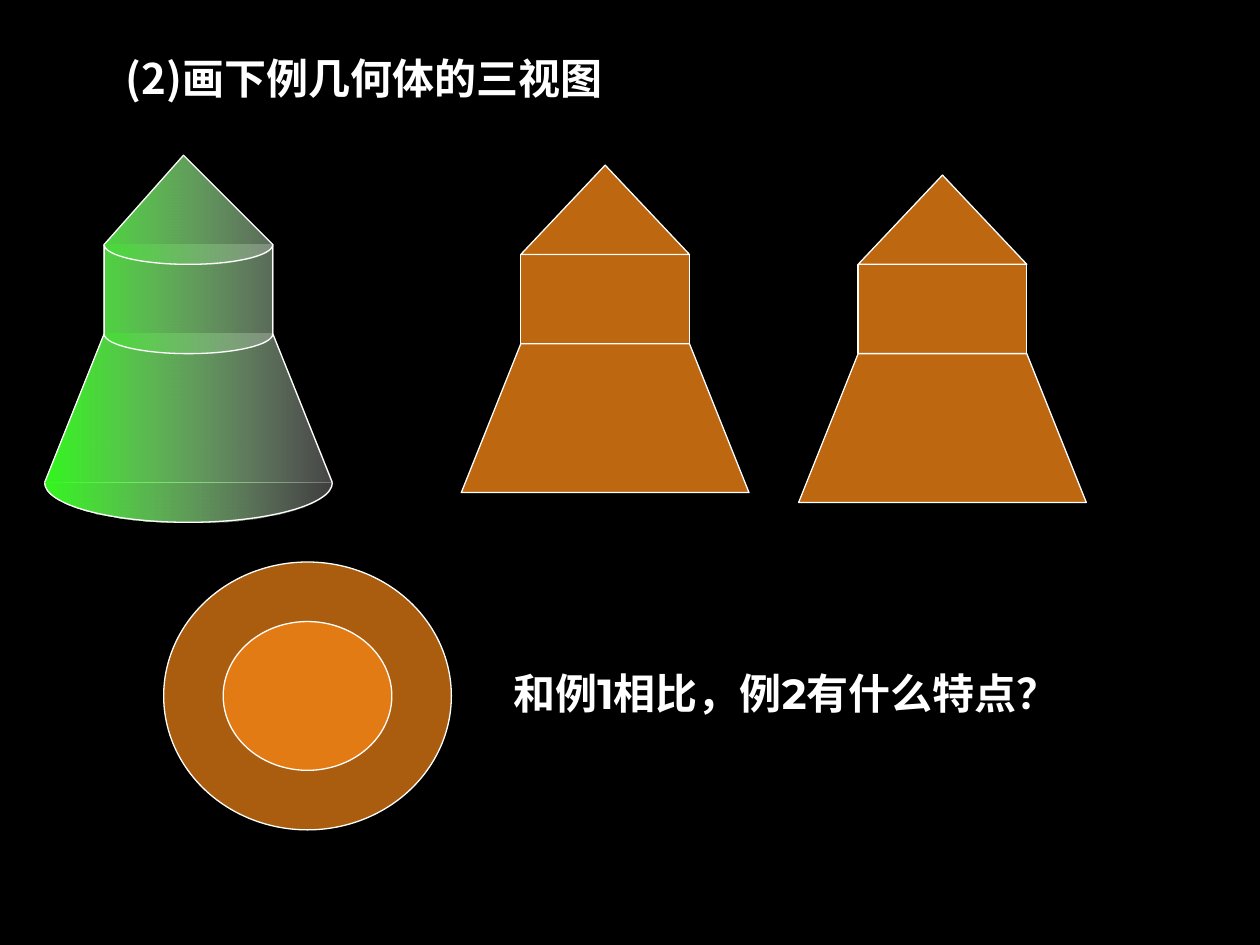
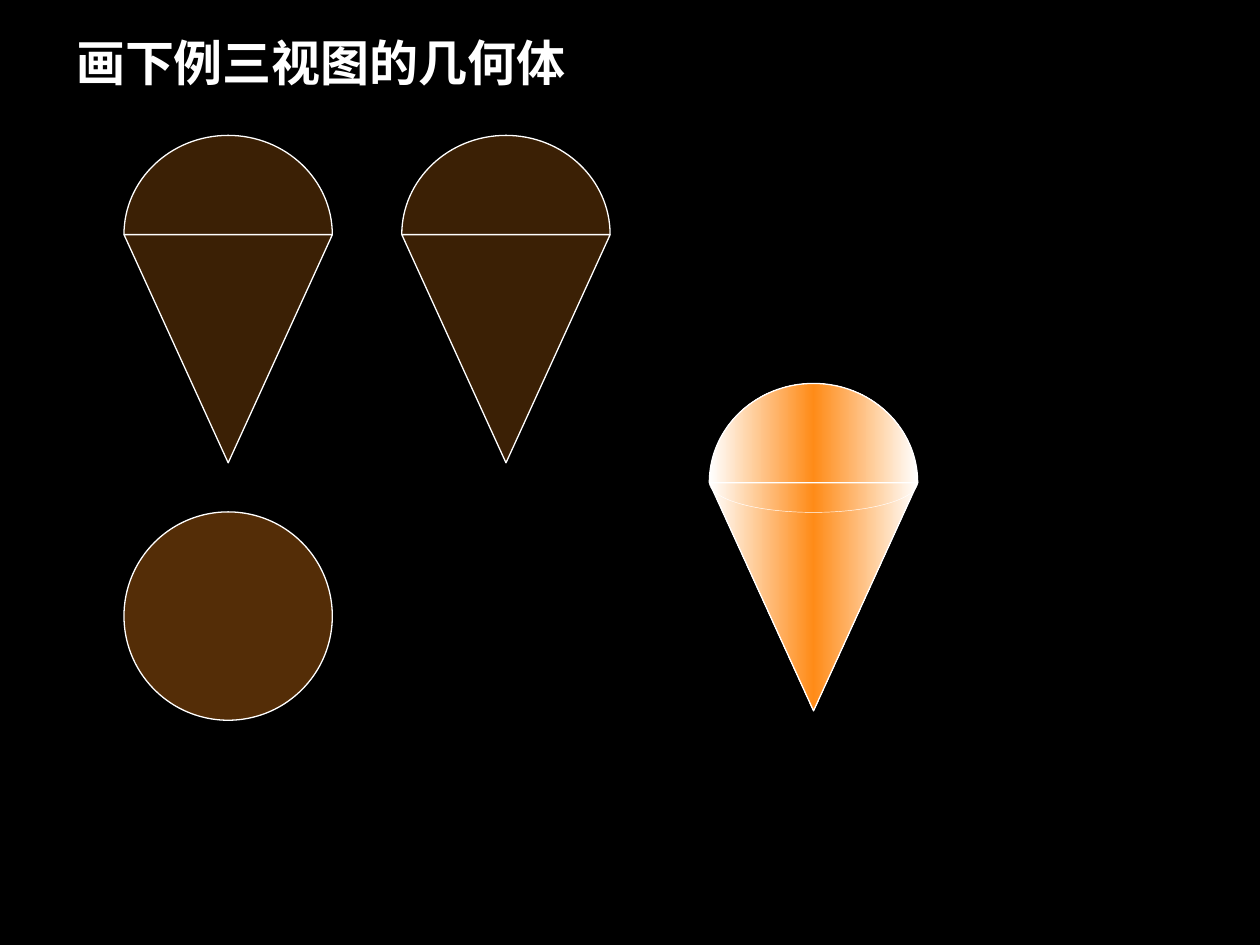
import dataclasses
import typing

import lxml.etree
import pptx
import pptx.dml.color
import pptx.enum.shapes
import pptx.enum.text
import pptx.oxml.ns
import pptx.util

Cm = pptx.util.Cm
Preset = pptx.enum.shapes.MSO_SHAPE
Point = tuple[float, float]

COLORS = {
    "background": "000000",
    "white": "FFFFFF",
    "orange": "FF8B17",
    "green": "33F81E",
}
CJK_FONT = "Noto Sans CJK SC"
LATIN_FONT = "Montserrat"
TITLE_ONLY = 5


@dataclasses.dataclass(frozen=True)
class Ink:
    color: str
    alpha: int = 100


@dataclasses.dataclass(frozen=True)
class Box:
    left: float
    top: float
    width: float
    height: float

    def lengths(self) -> list[pptx.util.Length]:
        return [Cm(value) for value in dataclasses.astuple(self)]


@dataclasses.dataclass(frozen=True)
class Tower:
    left: float
    top: float
    base_width: float = 5.8
    neck_width: float = 3.4
    roof_height: float = 1.8
    neck_height: float = 1.8
    skirt_height: float = 3.0

    @property
    def neck_left(self) -> float:
        return self.left + (self.base_width - self.neck_width) / 2

    @property
    def neck_right(self) -> float:
        return self.neck_left + self.neck_width

    @property
    def right(self) -> float:
        return self.left + self.base_width

    @property
    def eaves(self) -> float:
        return self.top + self.roof_height

    @property
    def waist(self) -> float:
        return self.eaves + self.neck_height

    @property
    def base(self) -> float:
        return self.waist + self.skirt_height


@dataclasses.dataclass(frozen=True)
class Cone:
    left: float
    top: float
    width: float = 4.2
    dome_height: float = 2.0
    tip_height: float = 4.6

    @property
    def rim(self) -> float:
        return self.top + self.dome_height


ELEVATION_INK = [Ink("orange", 74)]
PLAN_INK = [Ink("orange", 67)]
CONE_INK = [Ink("orange", 23)]
CIRCLE_INK = [Ink("orange", 33)]
GLOSS = [Ink("white"), Ink("orange"), Ink("white")]

SOLID_TOWER = Tower(0.9, 3.13)
FRONT_TOWER = Tower(9.3, 3.33)
SIDE_TOWER = Tower(16.1, 3.53)
FLAT_CONES = [Cone(2.5, 2.73), Cone(8.1, 2.73)]
SOLID_CONE = Cone(14.3, 7.73)


def rgb(name: str) -> pptx.dml.color.RGBColor:
    return pptx.dml.color.RGBColor.from_string(COLORS[name])


def add_xml(parent: typing.Any, tag: str, **attributes: object) -> typing.Any:
    return lxml.etree.SubElement(
        parent, pptx.oxml.ns.qn(tag), {key: str(value) for key, value in attributes.items()}
    )


def add_color(parent: typing.Any, ink: Ink) -> None:
    color = add_xml(parent, "a:srgbClr", val=COLORS[ink.color])
    if ink.alpha < 100:
        add_xml(color, "a:alpha", val=ink.alpha * 1000)


def paint(shape: typing.Any, inks: list[Ink], line_width: float = 0.75) -> None:
    shape.shadow.inherit = False
    shape.line.color.rgb = rgb("white")
    shape.line.width = pptx.util.Pt(line_width)
    shape.fill.background()
    if not inks:
        return
    no_fill = shape._element.spPr.find(pptx.oxml.ns.qn("a:noFill"))
    holder = lxml.etree.Element("holder")
    if len(inks) == 1:
        fill = add_xml(holder, "a:solidFill")
        add_color(fill, inks[0])
    else:
        fill = add_xml(holder, "a:gradFill", rotWithShape=1)
        stops = add_xml(fill, "a:gsLst")
        for index, ink in enumerate(inks):
            add_color(add_xml(stops, "a:gs", pos=100000 * index // (len(inks) - 1)), ink)
        add_xml(fill, "a:lin", ang=0, scaled=0)
    no_fill.getparent().replace(no_fill, fill)


def add_preset(shapes: typing.Any, preset: Preset, box: Box, inks: list[Ink],
               rotation: float = 0) -> None:
    shape = shapes.add_shape(preset, *box.lengths())
    shape.rotation = rotation
    paint(shape, inks)


def add_outline(shapes: typing.Any, points: list[Point], inks: list[Ink],
                closed: bool = False, line_width: float = 0.75) -> typing.Any:
    corners = [(Cm(x), Cm(y)) for x, y in points]
    builder = shapes.build_freeform(*corners[0])
    builder.add_line_segments(corners[1:], close=closed)
    shape = builder.convert_to_shape()
    paint(shape, inks, line_width)
    return shape


def add_segment(outline: typing.Any, tag: str, *points: tuple[int, int]) -> None:
    segment = add_xml(outline, tag)
    for x, y in points:
        add_xml(segment, "a:pt", x=x, y=y)


def add_half_ellipse(shapes: typing.Any, left: float, level: float, width: float,
                     rise: float, inks: list[Ink], line_width: float = 0.75) -> None:
    points = [(left + width, level), (left + width / 2, level - rise), (left, level)]
    shape = add_outline(shapes, points, inks, line_width=line_width)
    outlines = shape._element.spPr.find(".//" + pptx.oxml.ns.qn("a:pathLst"))
    outlines.clear()
    level_y, middle_y, crest_y = (1000, 448, 0) if rise > 0 else (0, 552, 1000)
    for option in ({"fill": "none"}, {"stroke": 0}):
        outline = add_xml(outlines, "a:path", w=2000, h=1000, **option)
        add_segment(outline, "a:moveTo", (2000, level_y))
        add_segment(outline, "a:cubicBezTo", (2000, middle_y), (1552, crest_y), (1000, crest_y))
        add_segment(outline, "a:cubicBezTo", (448, crest_y), (0, middle_y), (0, level_y))
        if "stroke" in option:
            add_segment(outline, "a:lnTo", (1000, level_y))
            add_xml(outline, "a:close")


def add_line(shapes: typing.Any, start: Point, end: Point) -> None:
    connector = shapes.add_connector(
        pptx.enum.shapes.MSO_CONNECTOR.STRAIGHT, *[Cm(value) for value in start + end]
    )
    connector.line.color.rgb = rgb("white")
    connector.line.width = pptx.util.Pt(0.75)
    add_xml(connector._element.spPr, "a:effectLst")


def write_text(shape: typing.Any, text: str, *, box: Box, size: float, font: str) -> None:
    shape.left, shape.top, shape.width, shape.height = box.lengths()
    frame = shape.text_frame
    frame.word_wrap = True
    frame.auto_size = pptx.enum.text.MSO_AUTO_SIZE.NONE
    frame.vertical_anchor = pptx.enum.text.MSO_ANCHOR.TOP
    paragraph = frame.paragraphs[0]
    paragraph.alignment = pptx.enum.text.PP_ALIGN.LEFT
    run = paragraph.add_run()
    run.text = text
    run.font.size = pptx.util.Pt(size)
    run.font.bold = True
    run.font.name = font
    run.font.color.rgb = rgb("white")
    properties = run.font._element
    properties.set("lang", "zh-CN")
    add_xml(properties, "a:ea", typeface=font)


def draw_tower_view(slide: typing.Any, tower: Tower) -> None:
    shapes = slide.shapes.add_group_shape().shapes
    roof = Box(tower.neck_left, tower.top, tower.neck_width, tower.roof_height)
    neck = Box(tower.neck_left, tower.eaves, tower.neck_width, tower.neck_height)
    skirt = [(tower.left, tower.base), (tower.neck_left, tower.waist),
             (tower.neck_right, tower.waist), (tower.right, tower.base)]
    add_preset(shapes, Preset.ISOSCELES_TRIANGLE, roof, ELEVATION_INK)
    add_preset(shapes, Preset.RECTANGLE, neck, ELEVATION_INK)
    add_outline(shapes, skirt, ELEVATION_INK, closed=True)


def draw_plan_view(slide: typing.Any) -> None:
    shapes = slide.shapes.add_group_shape().shapes
    for box in (Box(3.3, 11.33, 5.8, 5.4), Box(4.5, 12.53, 3.4, 3.0)):
        add_preset(shapes, Preset.OVAL, box, PLAN_INK)


def draw_solid_tower(slide: typing.Any, tower: Tower) -> None:
    shapes = slide.shapes.add_group_shape().shapes
    body = [(tower.right, tower.base), (tower.neck_right, tower.waist),
            (tower.neck_right, tower.eaves), (tower.left + 2.8, tower.top),
            (tower.neck_left, tower.eaves), (tower.neck_left, tower.waist),
            (tower.left, tower.base)]
    add_outline(shapes, body, [Ink("green"), Ink("white", 27)])
    rims = [
        (tower.left, tower.base, tower.base_width, 0.8, 100),
        (tower.neck_left, tower.waist, tower.neck_width, 0.4, 30),
        (tower.neck_left, tower.eaves, tower.neck_width, 0.4, 26),
    ]
    for left, level, width, drop, alpha in rims:
        inks = [Ink("green", alpha), Ink("white", 24)]
        add_half_ellipse(shapes, left, level, width, -drop, inks)


def draw_cone(slide: typing.Any, cone: Cone, inks: list[Ink], solid: bool = False) -> None:
    shapes = slide.shapes.add_group_shape().shapes
    add_half_ellipse(shapes, cone.left, cone.rim, cone.width, cone.dome_height, inks)
    if not solid:
        add_line(shapes, (cone.left, cone.rim), (cone.left + cone.width, cone.rim))
    tip = Box(cone.left, cone.rim, cone.width, cone.tip_height)
    add_preset(shapes, Preset.ISOSCELES_TRIANGLE, tip, inks, rotation=180)
    if solid:
        add_half_ellipse(shapes, cone.left, cone.rim, cone.width, -0.6, [], line_width=0.25)


def add_titled_slide(presentation: typing.Any, title: str, **text_format: typing.Any) -> typing.Any:
    slide = presentation.slides.add_slide(presentation.slide_layouts[TITLE_ONLY])
    write_text(slide.shapes.title, title, **text_format)
    return slide


def build_tower_slide(presentation: typing.Any) -> None:
    slide = add_titled_slide(presentation, "(2)画下例几何体的三视图",
                             box=Box(2.28, 0.94, 11.6, 1.27), size=24, font=CJK_FONT)
    draw_tower_view(slide, FRONT_TOWER)
    draw_plan_view(slide)
    draw_solid_tower(slide, SOLID_TOWER)
    draw_tower_view(slide, SIDE_TOWER)
    question_box = Box(10.1, 13.34, 11.3, 1.27)
    question = slide.shapes.add_textbox(*question_box.lengths())
    write_text(question, "和例1相比，例2有什么特点？",
               box=question_box, size=24, font=LATIN_FONT)


def build_cone_slide(presentation: typing.Any) -> None:
    slide = add_titled_slide(presentation, "画下例三视图的几何体",
                             box=Box(1.28, 0.52, 11.0, 1.44), size=28, font=LATIN_FONT)
    add_preset(slide.shapes, Preset.OVAL, Box(2.5, 10.32, 4.2, 4.2), CIRCLE_INK)
    for cone in FLAT_CONES:
        draw_cone(slide, cone, CONE_INK)
    draw_cone(slide, SOLID_CONE, GLOSS, solid=True)


def main() -> None:
    presentation = pptx.Presentation()
    presentation.slide_width = Cm(25.4)
    presentation.slide_height = Cm(19.05)
    background = presentation.slide_master.background.fill
    background.solid()
    background.fore_color.rgb = rgb("background")
    build_tower_slide(presentation)
    build_cone_slide(presentation)
    presentation.save("out.pptx")


if __name__ == "__main__":
    main()
